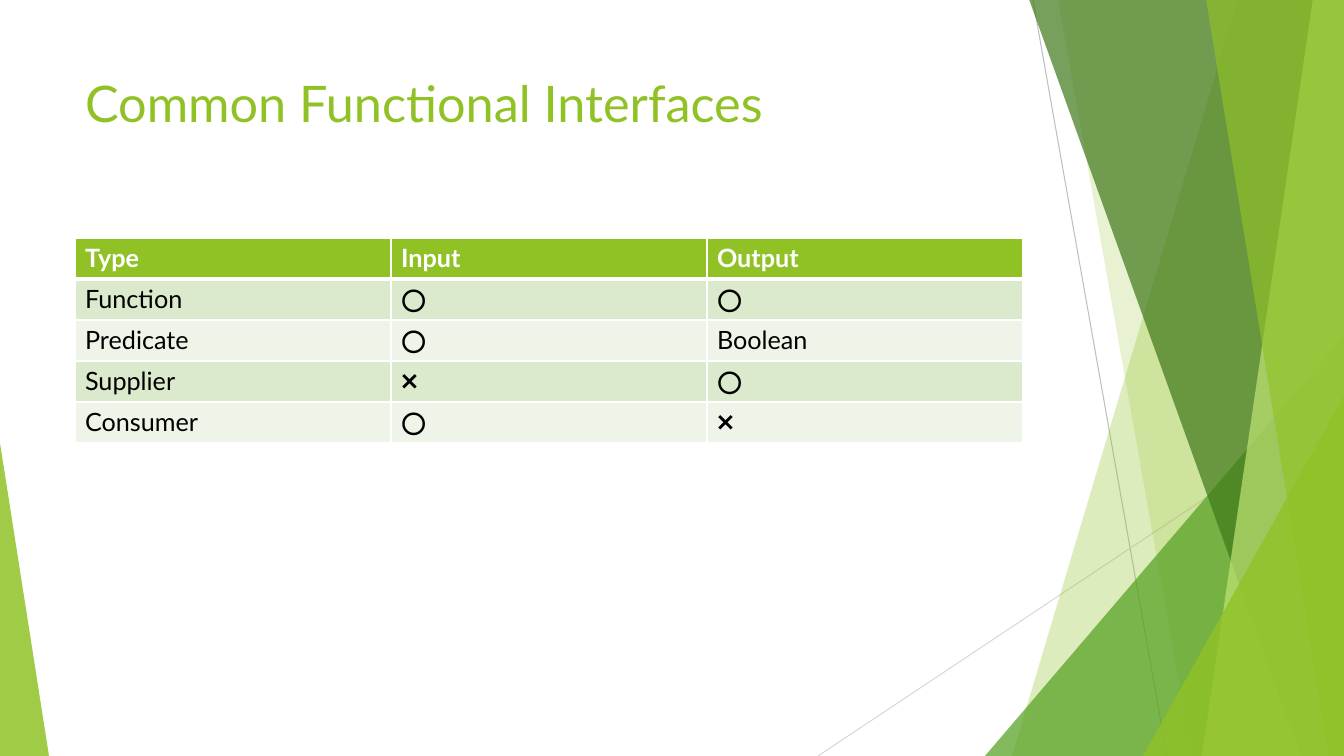
from lxml.etree import SubElement
from pptx import Presentation
from pptx.dml.color import RGBColor
from pptx.enum.shapes import MSO_CONNECTOR, MSO_SHAPE
from pptx.enum.text import MSO_ANCHOR, PP_ALIGN
from pptx.oxml import parse_xml
from pptx.oxml.ns import nsdecls, qn
from pptx.util import Pt

SLIDE_WIDTH, SLIDE_HEIGHT = 1344, 756
EMU_PER_PX = 914400 / 100.8
FONT = "Lato"
GREEN, WHITE, BLACK = "90C226", "FFFFFF", "000000"

TITLE = "Common Functional Interfaces"
TITLE_BOX = (75, 67, 947, 145)
TABLE_ROWS = [
    ("Type", "Input", "Output"),
    ("Function", "⭕️", "⭕️"),
    ("Predicate", "⭕️", "Boolean"),
    ("Supplier", "❌", "⭕️"),
    ("Consumer", "⭕️", "❌"),
]
TABLE_LEFT, TABLE_TOP = 75, 238
COLUMN_WIDTH, ROW_HEIGHT = 316, 41
BAND_FILLS = ("EEF4E8", "DBE9CD")

# Start, end, colour
THIN_LINES = [
    ((1033, 0), (1167, 756), "BFBFBF"),
    ((1344, 406), (818, 756), "D9D9D9"),
]
# Back to front. Bands: top left x, bottom left x; triangles: box and apex position.
DECORATIONS = [
    ("band", (1238, 1012), GREEN, 30),
    ("band", (1058, 1192), GREEN, 20),
    ("triangle", (985, 336, 359, 420, 1), "54A021", 72),
    ("band", (1029, 1301), "3F7819", 70),
    ("band", (1313, 1202), "C0E474", 70),
    ("band", (1206, 1329), GREEN, 65),
    ("triangle", (1143, 396, 201, 360, 1), GREEN, 80),
    ("triangle", (0, 443, 49, 313, 0), GREEN, 85),
]


def emu(px):
    return round(px * EMU_PER_PX)


def color(hex_code):
    return RGBColor.from_string(hex_code)


def fill_translucent(shape, hex_code, opacity):
    shape.shadow.inherit = False
    shape.line.fill.background()
    shape.fill.solid()
    shape.fill.fore_color.rgb = color(hex_code)
    color_element = shape.fill._xPr.find(qn("a:solidFill"))[0]
    SubElement(color_element, qn("a:alpha"), val=str(opacity * 1000))


def add_thin_line(slide, start, end, hex_code):
    line = slide.shapes.add_connector(
        MSO_CONNECTOR.STRAIGHT, *map(emu, start + end))
    line.line.color.rgb = color(hex_code)
    line.line.width = Pt(0.75)
    SubElement(line._element.spPr, qn("a:effectLst"))


def add_band(slide, top_x, bottom_x):
    """Add a full-height band from a slanted left edge to the slide's right edge."""
    builder = slide.shapes.build_freeform(top_x, -1, scale=EMU_PER_PX)
    builder.add_line_segments([
        (SLIDE_WIDTH, -1), (SLIDE_WIDTH, SLIDE_HEIGHT), (bottom_x, SLIDE_HEIGHT)])
    return builder.convert_to_shape()


def add_triangle(slide, left, top, width, height, apex):
    triangle = slide.shapes.add_shape(
        MSO_SHAPE.ISOSCELES_TRIANGLE, *map(emu, (left, top, width, height)))
    triangle.adjustments[0] = apex
    return triangle


def set_borders(cell, top, bottom):
    """Draw white cell borders; top and bottom widths are in points."""
    properties = cell._tc.get_or_add_tcPr()
    for index, (side, width) in enumerate(
            [("L", 1), ("R", 1), ("T", top), ("B", bottom)]):
        properties.insert(index, parse_xml(
            f'<a:ln{side} {nsdecls("a")} w="{Pt(width)}"><a:solidFill>'
            f'<a:srgbClr val="{WHITE}"/></a:solidFill></a:ln{side}>'))


def add_title(slide):
    title = slide.shapes.title
    title.left, title.top, title.width, title.height = map(emu, TITLE_BOX)
    title.text_frame.text = TITLE
    title.text_frame.vertical_anchor = MSO_ANCHOR.TOP
    paragraph = title.text_frame.paragraphs[0]
    paragraph.alignment = PP_ALIGN.LEFT
    paragraph.font.name = FONT
    paragraph.font.size = Pt(36)
    paragraph.font.color.rgb = color(GREEN)


def add_interface_table(slide):
    row_count, column_count = len(TABLE_ROWS), len(TABLE_ROWS[0])
    table = slide.shapes.add_table(
        row_count, column_count, emu(TABLE_LEFT), emu(TABLE_TOP),
        emu(COLUMN_WIDTH * column_count), emu(ROW_HEIGHT * row_count)).table
    for row_index, row in enumerate(TABLE_ROWS):
        is_header = row_index == 0
        for column_index, text in enumerate(row):
            cell = table.cell(row_index, column_index)
            cell.text = text
            cell.fill.solid()
            cell.fill.fore_color.rgb = color(
                GREEN if is_header else BAND_FILLS[row_index % 2])
            set_borders(cell, top=3 if row_index == 1 else 1,
                        bottom=3 if is_header else 1)
            font = cell.text_frame.paragraphs[0].font
            font.name = FONT
            font.size = Pt(18)
            font.bold = is_header
            font.color.rgb = color(WHITE if is_header else BLACK)


def main():
    presentation = Presentation()
    presentation.slide_width = emu(SLIDE_WIDTH)
    presentation.slide_height = emu(SLIDE_HEIGHT)
    slide = presentation.slides.add_slide(presentation.slide_layouts[5])
    for start, end, hex_code in THIN_LINES:
        add_thin_line(slide, start, end, hex_code)
    for kind, geometry, hex_code, opacity in DECORATIONS:
        add_decoration = add_band if kind == "band" else add_triangle
        fill_translucent(add_decoration(slide, *geometry), hex_code, opacity)
    add_title(slide)
    add_interface_table(slide)
    presentation.save("out.pptx")


if __name__ == "__main__":
    main()
